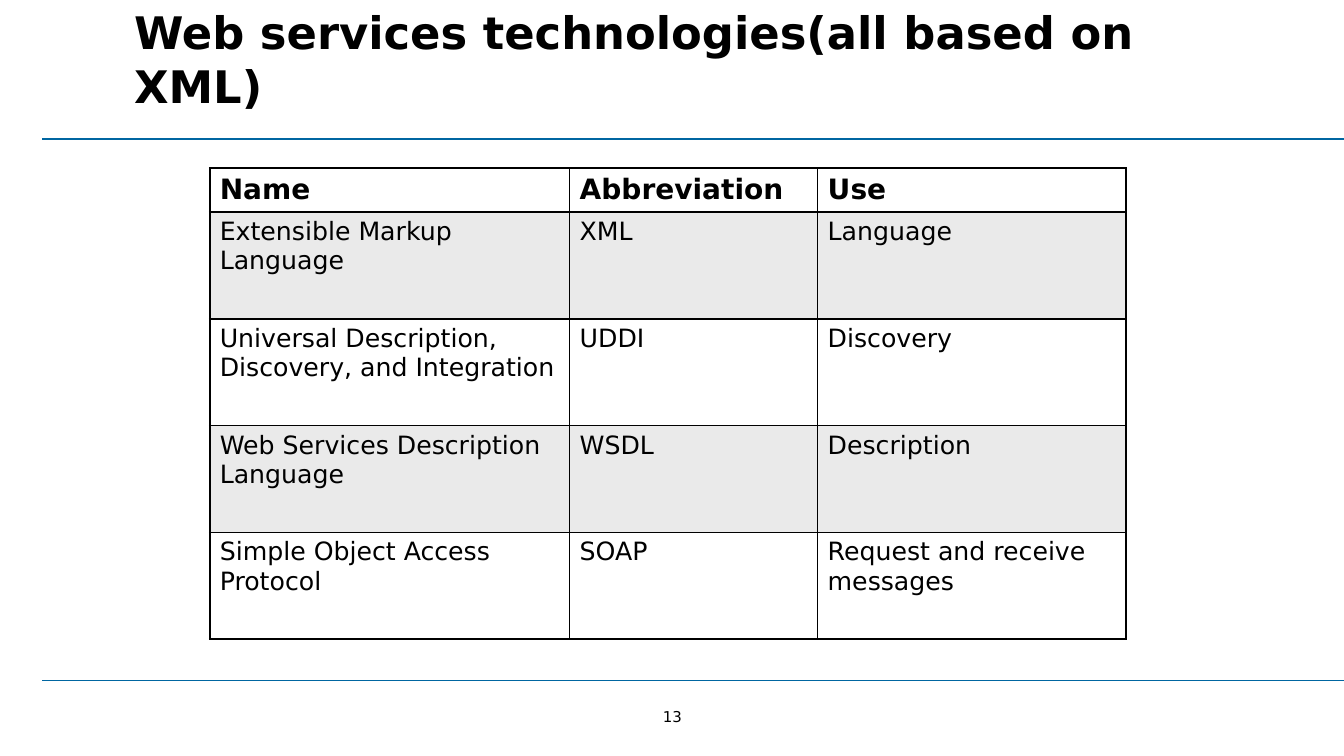
from lxml import etree
from pptx import Presentation
from pptx.dml.color import RGBColor
from pptx.enum import shapes, text
from pptx.oxml import ns
from pptx.util import Inches, Pt

FONT = "DejaVu Sans"
COLORS = {"text": "000000", "rule": "0066A1", "border": "000000",
          "band": "EAEAEA", "plain": "FFFFFF"}


def write(tf, content, size=18, bold=False, align=text.PP_ALIGN.LEFT):
    p = tf.paragraphs[0]
    p.alignment = align
    r = p.add_run()
    r.text = content
    r.font.name = FONT
    r.font.size = Pt(size)
    r.font.bold = bold
    r.font.color.rgb = RGBColor.from_string(COLORS["text"])


def add_border(cell, side, width):
    ln = etree.SubElement(cell._tc.get_or_add_tcPr(), ns.qn(f"a:ln{side}"), w=str(Pt(width)))
    fill = etree.SubElement(ln, ns.qn("a:solidFill"))
    etree.SubElement(fill, ns.qn("a:srgbClr"), val=COLORS["border"])


prs = Presentation()
prs.slide_width, prs.slide_height = Inches(13.33), Inches(7.5)
s = prs.slides.add_slide(prs.slide_layouts[6])

# Page number
sp = s.shapes.add_textbox(Inches(6.54), Inches(7.02), Inches(0.26), Inches(0.18))
tf = sp.text_frame
tf.margin_left = tf.margin_right = tf.margin_top = tf.margin_bottom = 0
tf.word_wrap = False
tf.vertical_anchor = text.MSO_ANCHOR.MIDDLE
write(tf, "13", size=10.7, align=text.PP_ALIGN.CENTER)

# Rules above and below the content
for y in (1.38, 6.75):
    rule = s.shapes.add_connector(shapes.MSO_CONNECTOR.STRAIGHT,
                                  Inches(0.42), Inches(y), prs.slide_width, Inches(y))
    rule.line.color.rgb = RGBColor.from_string(COLORS["rule"])
    rule.line.width = Pt(1.25)
    etree.SubElement(rule._element.spPr, ns.qn("a:effectLst"))

# Title
sp = s.shapes.add_textbox(Inches(1.33), 0, Inches(10.34), Inches(1.25))
tf = sp.text_frame
tf.margin_left = tf.margin_right = 0
tf.word_wrap = True
write(tf, "Web services technologies(all based on XML)", size=32, bold=True)

# Technology table
rows = [
    ("Name", "Abbreviation", "Use"),
    ("Extensible Markup Language", "XML", "Language"),
    ("Universal Description, Discovery, and Integration", "UDDI", "Discovery"),
    ("Web Services Description Language", "WSDL", "Description"),
    ("Simple Object Access Protocol", "SOAP", "Request and receive messages"),
]
col_widths = (3.57, 2.46, 3.06)
last_row, last_col = len(rows) - 1, len(col_widths) - 1
table = s.shapes.add_table(len(rows), len(col_widths), Inches(2.08), Inches(1.67),
                           Inches(sum(col_widths)), Inches(4.67)).table
table.first_row = table.horz_banding = False
for col, width in zip(table.columns, col_widths):
    col.width = Inches(width)

for i, row in enumerate(rows):
    table.rows[i].height = Inches(1.06 if i else 0.43)
    for j, content in enumerate(row):
        cell = table.cell(i, j)
        write(cell.text_frame, content, size=18 if i else 20, bold=i == 0)
        outer_sides = {"L": j == 0, "R": j == last_col, "T": i == 0, "B": i == last_row}
        for side, outer in outer_sides.items():
            add_border(cell, side, 1.5 if outer else 1)
        cell.fill.solid()
        cell.fill.fore_color.rgb = RGBColor.from_string(COLORS["band" if i % 2 else "plain"])

prs.save("out.pptx")
